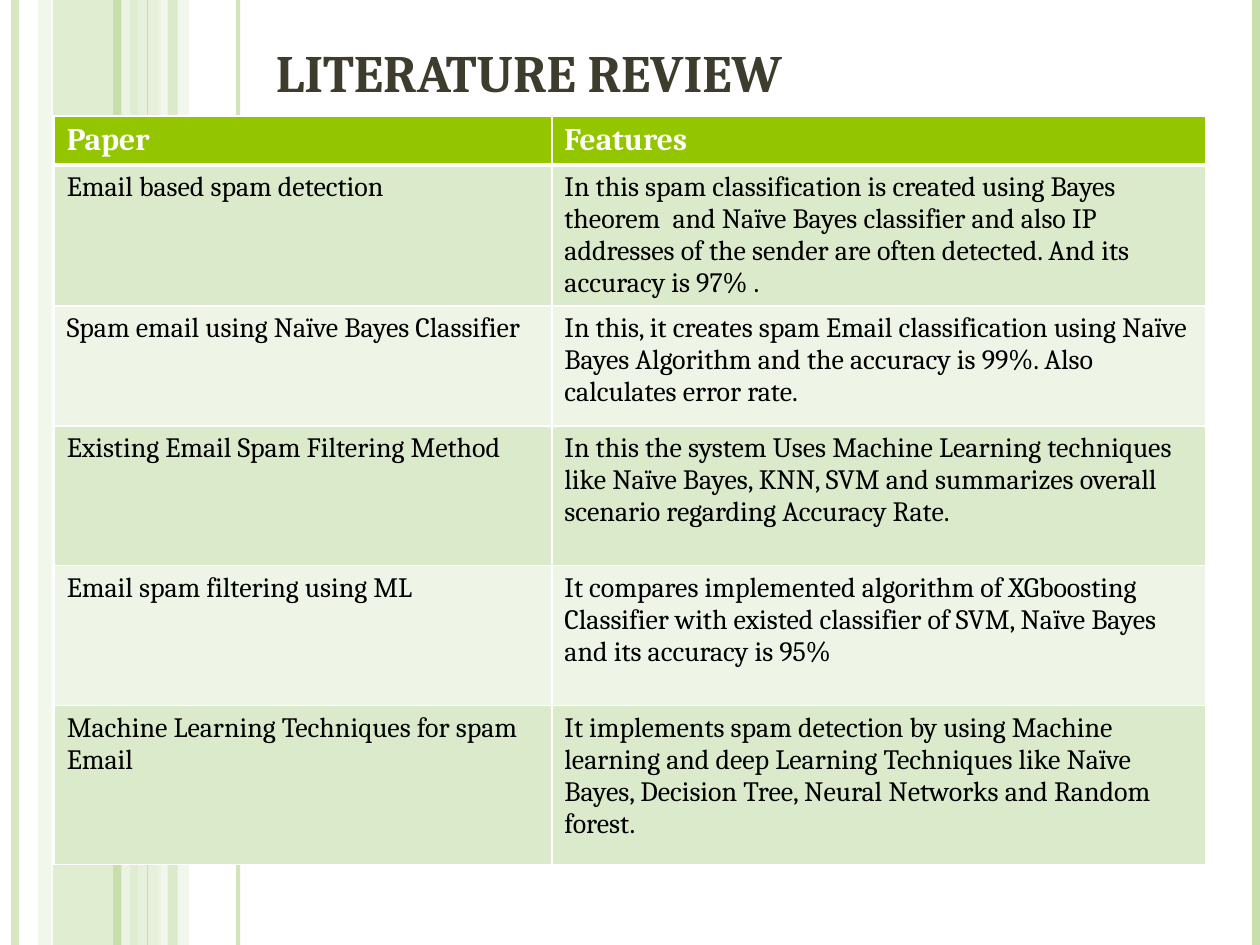
from lxml import etree
from pptx import Presentation
from pptx.dml.color import RGBColor
from pptx.enum.shapes import MSO_CONNECTOR, MSO_SHAPE
from pptx.enum.text import MSO_ANCHOR, MSO_AUTO_SIZE, PP_ALIGN
from pptx.oxml.ns import qn
from pptx.util import Inches, Pt

FONT = "Cambria"
GREEN = RGBColor(0x94, 0xC6, 0x00)
STRIPE = RGBColor(0xC8, 0xDF, 0xAB)
LIGHT = RGBColor(0xDC, 0xEA, 0xCC)
PALE = RGBColor(0xEE, 0xF5, 0xE7)
DARK = RGBColor(0x3E, 0x3D, 0x2D)
WHITE = RGBColor(0xFF, 0xFF, 0xFF)
BLACK = RGBColor(0x00, 0x00, 0x00)

# left, width, colour, opacity in percent
BANDS = [
    (0.42, 0.67, STRIPE, 54),
    (0.3, 0.11, LIGHT, 36),
    (1.08, 0.2, LIGHT, 70),
    (1.25, 0.25, PALE, 71),
    (1.33, 0.08, STRIPE, 51),
]
# centre, weight in points, colour, opacity in percent
RULES = [
    (0.12, 4.5, STRIPE, 73),
    (1, 4.5, PALE, 83),
    (0.93, 4.5, STRIPE, 100),
    (1.89, 2.25, STRIPE, 82),
    (1.17, 0.75, STRIPE, 100),
    (9.97, 4.5, STRIPE, 100),
]
COLUMN_WIDTHS = [3.95, 5.19]
ROW_HEIGHTS = [0.38, 1.11, 0.95, 1.11, 1.11, 1.26]
ROWS = [
    ("Paper", "Features"),
    ("Email based spam detection",
     "In this spam classification is created using Bayes theorem  and Naïve Bayes "
     "classifier and also IP addresses of the sender are often detected. And its "
     "accuracy is 97% ."),
    ("Spam email using Naïve Bayes Classifier",
     "In this, it creates spam Email classification using Naïve Bayes Algorithm and "
     "the accuracy is 99%. Also calculates error rate."),
    ("Existing Email Spam Filtering Method",
     "In this the system Uses Machine Learning techniques like Naïve Bayes, KNN, SVM "
     "and summarizes overall scenario regarding Accuracy Rate."),
    ("Email spam filtering using ML",
     "It compares implemented algorithm of XGboosting Classifier with existed "
     "classifier of SVM, Naïve Bayes and its accuracy is 95%"),
    ("Machine Learning Techniques for spam Email",
     "It implements spam detection by using Machine learning and deep Learning "
     "Techniques like Naïve Bayes, Decision Tree, Neural Networks and Random forest."),
]


def write_text(text_frame, text, size=16, color=BLACK, bold=False):
    paragraph = text_frame.paragraphs[0]
    paragraph.alignment = PP_ALIGN.LEFT
    run = paragraph.add_run()
    run.text = text
    run.font.name = FONT
    run.font.size = Pt(size)
    run.font.bold = bold
    run.font.color.rgb = color


def set_opacity(shape, percent):
    if percent < 100:
        color = next(shape._element.spPr.iter(qn("a:srgbClr")))
        etree.SubElement(color, qn("a:alpha"), val=str(percent * 1000))


def set_border(cell, side, weight, color):
    line = etree.SubElement(cell._tc.get_or_add_tcPr(), qn(f"a:ln{side}"),
                            w=str(Pt(weight)))
    fill = etree.SubElement(line, qn("a:solidFill"))
    etree.SubElement(fill, qn("a:srgbClr"), val=str(color))


def add_stripes(slide, top, height):
    # Translucent bands
    for left, width, color, opacity in BANDS:
        band = slide.shapes.add_shape(MSO_SHAPE.RECTANGLE, Inches(left), top,
                                      Inches(width), height)
        band.shadow.inherit = False
        band.fill.solid()
        band.fill.fore_color.rgb = color
        band.line.fill.background()
        set_opacity(band, opacity)
    # Vertical rules
    for x, weight, color, opacity in RULES:
        rule = slide.shapes.add_connector(MSO_CONNECTOR.STRAIGHT, Inches(x), top,
                                          Inches(x), top + height)
        rule.line.color.rgb = color
        rule.line.width = Pt(weight)
        set_opacity(rule, opacity)
        etree.SubElement(rule._element.spPr, qn("a:effectLst"))


def add_title(slide, left, top, width, height):
    title = slide.shapes.title
    title.left, title.top, title.width, title.height = left, top, width, height
    title.text_frame.auto_size = MSO_AUTO_SIZE.NONE
    title.text_frame.vertical_anchor = MSO_ANCHOR.BOTTOM
    write_text(title.text_frame, "LITERATURE REVIEW", size=30, color=DARK, bold=True)


def add_review_table(slide, left, top, width, height):
    table = slide.shapes.add_table(len(ROWS), len(COLUMN_WIDTHS), left, top,
                                   width, height).table
    for column, column_width in zip(table.columns, COLUMN_WIDTHS):
        column.width = Inches(column_width)
    for row, row_height in zip(table.rows, ROW_HEIGHTS):
        row.height = Inches(row_height)

    for row_index, texts in enumerate(ROWS):
        header = row_index == 0
        row_fill = GREEN if header else (LIGHT if row_index % 2 else PALE)
        for column_index, text in enumerate(texts):
            cell = table.cell(row_index, column_index)
            for side in "LRTB":
                # The thick line lies between the header and the first row
                thick = (row_index, side) in ((0, "B"), (1, "T"))
                set_border(cell, side, 3 if thick else 1, WHITE)
            cell.fill.solid()
            cell.fill.fore_color.rgb = row_fill
            write_text(cell.text_frame, text, size=18 if header else 16,
                       color=WHITE if header else BLACK, bold=header)


def main():
    presentation = Presentation()
    presentation.slide_width = Inches(10)
    presentation.slide_height = Inches(7.5)
    slide = presentation.slides.add_slide(presentation.slide_layouts[5])
    slide.background.fill.solid()
    slide.background.fill.fore_color.rgb = WHITE

    add_stripes(slide, 0, presentation.slide_height)
    add_title(slide, Inches(2.09), Inches(0), Inches(6.75), Inches(0.87))
    add_review_table(slide, Inches(0.43), Inches(0.92),
                     Inches(sum(COLUMN_WIDTHS)), Inches(sum(ROW_HEIGHTS)))
    presentation.save("out.pptx")


if __name__ == "__main__":
    main()
